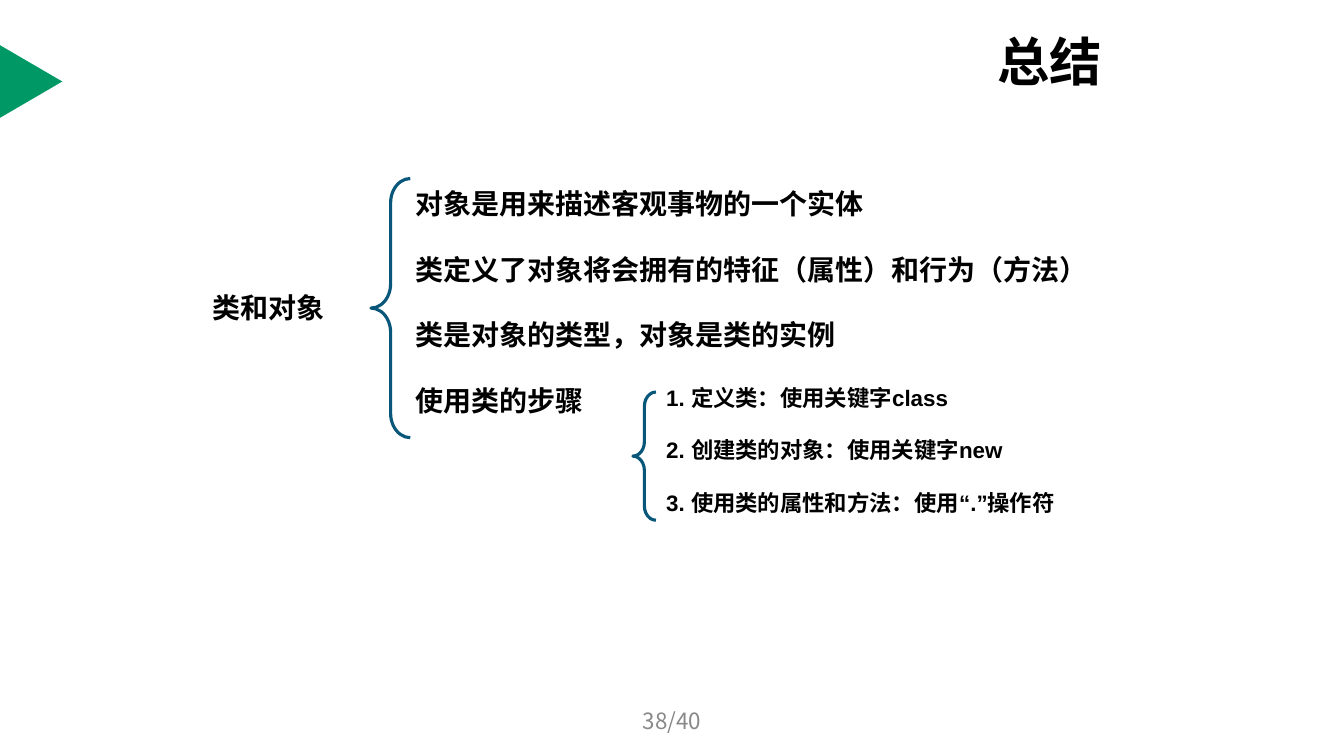
from pptx import Presentation
from pptx.dml.color import RGBColor
from pptx.enum import lang, shapes, text
from pptx.oxml import ns
from pptx.util import Cm, Pt

# Content
TITLE = "总结"
TOPIC = "类和对象"
POINTS = [
    "对象是用来描述客观事物的一个实体",
    "类定义了对象将会拥有的特征（属性）和行为（方法）",
    "类是对象的类型，对象是类的实例",
    "使用类的步骤",
]
STEPS = [
    "1. 定义类：使用关键字class",
    "2. 创建类的对象：使用关键字new",
    "3. 使用类的属性和方法：使用“.”操作符",
]
PAGE = "38/40"

# Formats
CJK = "Noto Sans CJK SC"
BLACK, GREY, GREEN, BLUE = "000000", "898989", "009966", "08577A"
LEFT, CENTER = text.PP_ALIGN.LEFT, text.PP_ALIGN.CENTER
TOP, MIDDLE = text.MSO_ANCHOR.TOP, text.MSO_ANCHOR.MIDDLE

# Text boxes: lines, (left, top, width, height) in cm, size, font, colour,
# bold, alignment, anchor, gap between lines in points, hanging indent in cm
TEXTS = [
    ([TITLE], (24.89, 0.79, 4.24, 1.45), 37.4, CJK, BLACK, True, LEFT, MIDDLE, 0, 0),
    (POINTS, (10.21, 4.57, 17.65, 6.25), 20, "Arial", BLACK, True, LEFT, TOP, 23, 0),
    (STEPS, (16.54, 9.55, 11.51, 5.05), 16, "Arial", BLACK, True, LEFT, TOP, 18.4, 0.97),
    ([TOPIC], (4.24, 7.19, 5.05, 1.12), 20, "Arial", BLACK, True, CENTER, TOP, 0, 0),
    ([PAGE], (11.58, 17.65, 10.72, 1.02), 16, CJK, GREY, False, CENTER, MIDDLE, 0, 0),
]
BRACES = [(15.95, 9.88, 0.58, 3.23), (9.35, 4.5, 0.99, 6.53)]
BRACE_CURVE = 0.62


def rgb(value):
    return RGBColor.from_string(value)


def add_shape(s, kind, box):
    sp = s.shapes.add_shape(kind, *map(Cm, box))
    sp.shadow.inherit = False
    return sp


def add_text(s, lines, box, size, font, color, bold, align, anchor, gap, hang):
    tf = s.shapes.add_textbox(*map(Cm, box)).text_frame
    tf.word_wrap = True
    tf.vertical_anchor = anchor
    for i, line in enumerate(lines):
        p = tf.paragraphs[0] if i == 0 else tf.add_paragraph()
        p.alignment = align
        p.space_before = Pt(gap if i else 0)
        if hang:
            pPr = p._p.get_or_add_pPr()
            pPr.set("marL", str(Cm(hang)))
            pPr.set("indent", str(-Cm(hang)))
        r = p.add_run()
        r.text = line
        look = {"size": Pt(size), "name": font, "bold": bold,
                "language_id": lang.MSO_LANGUAGE_ID.SIMPLIFIED_CHINESE}
        for key, value in look.items():
            setattr(r.font, key, value)
        r.font.color.rgb = rgb(color)
        ea = r._r.get_or_add_rPr().makeelement(ns.qn("a:ea"), {"typeface": font})
        r._r.rPr.find(ns.qn("a:latin")).addnext(ea)


def main():
    prs = Presentation()
    prs.slide_width, prs.slide_height = Cm(33.87), Cm(19.05)
    s = prs.slides.add_slide(prs.slide_layouts[6])

    # Corner triangle
    sp = add_shape(s, shapes.MSO_SHAPE.ISOSCELES_TRIANGLE, (-0.13, 1.27, 1.83, 1.57))
    sp.rotation = 90
    sp.fill.solid()
    sp.fill.fore_color.rgb = rgb(GREEN)
    sp.line.fill.background()

    # Braces
    for box in BRACES:
        sp = add_shape(s, shapes.MSO_SHAPE.LEFT_BRACE, box)
        sp.adjustments[0] = BRACE_CURVE
        sp.fill.background()
        sp.line.color.rgb = rgb(BLUE)
        sp.line.width = Pt(2.25)

    # Texts
    for item in TEXTS:
        add_text(s, *item)

    prs.save("out.pptx")


if __name__ == "__main__":
    main()
